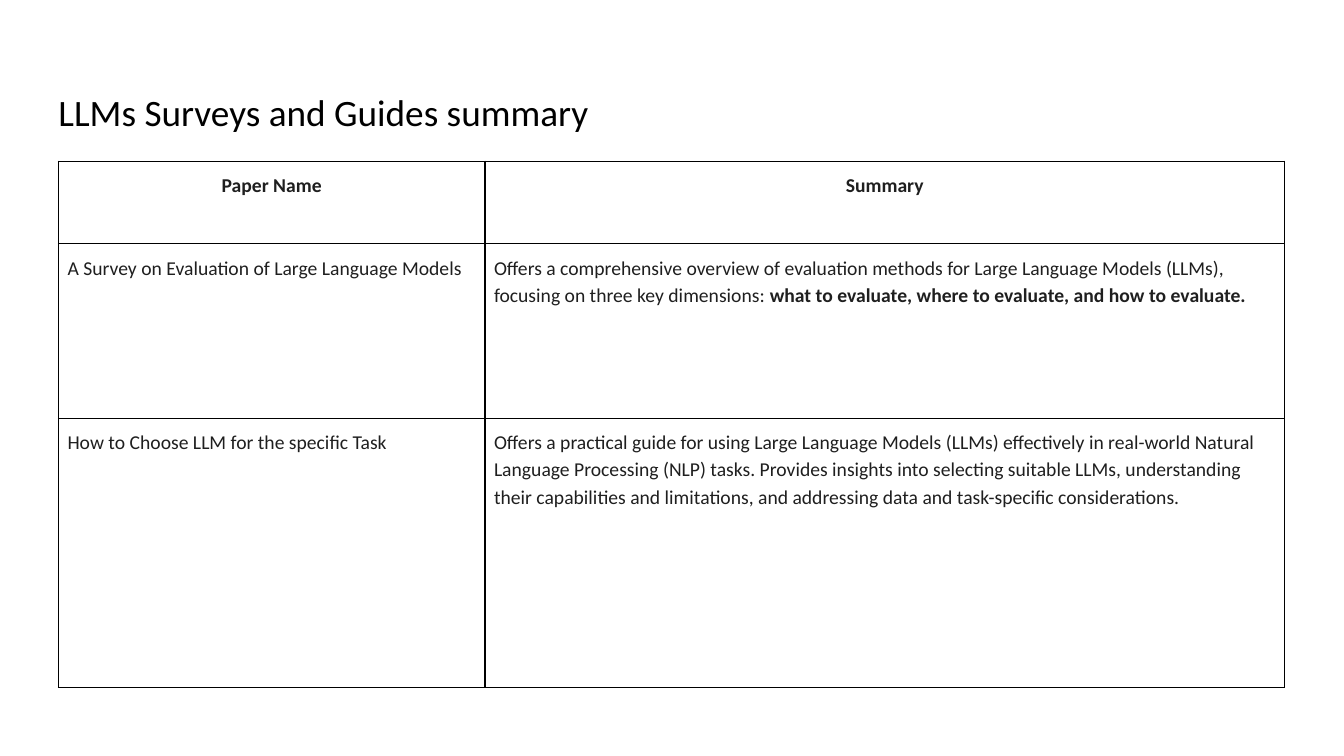
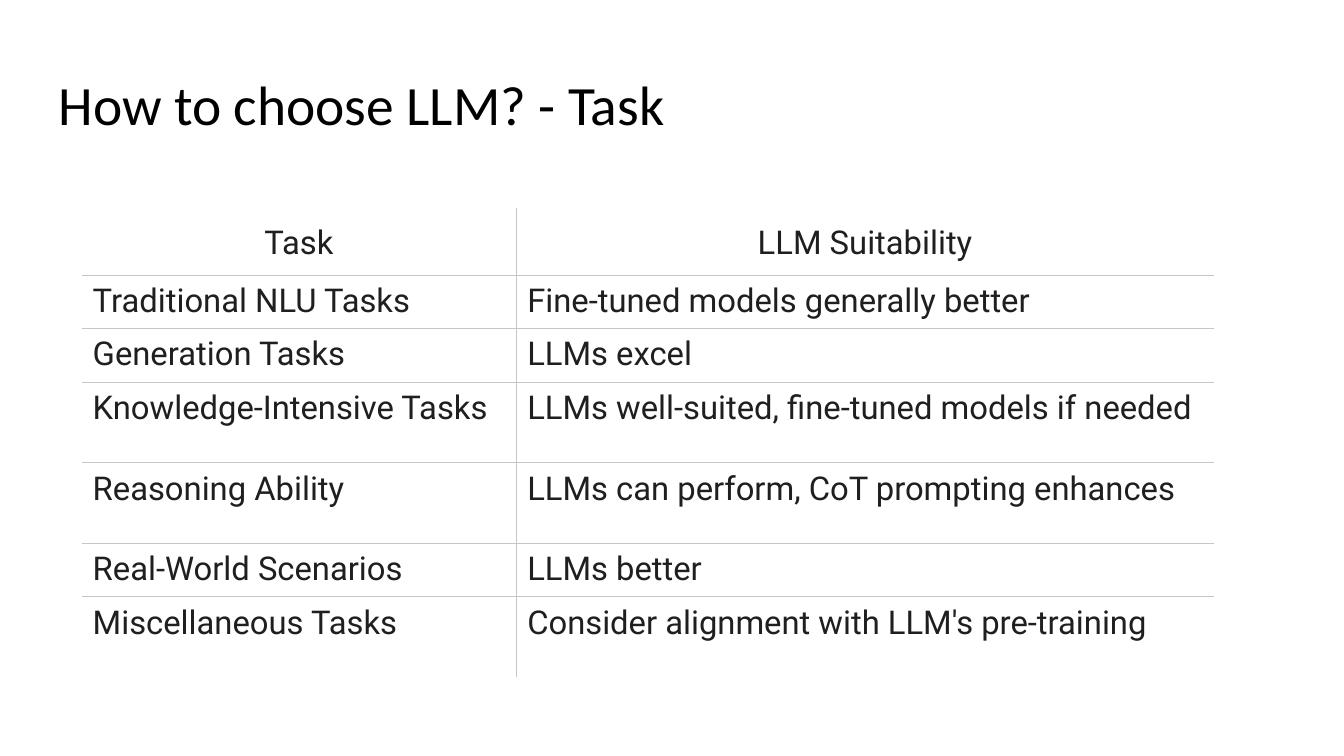
from pptx import Presentation
from pptx.dml.color import RGBColor
from pptx.enum.text import MSO_ANCHOR, PP_ALIGN
from pptx.oxml import parse_xml
from pptx.oxml.ns import nsdecls
from pptx.util import Pt

SCALE = 9144  # EMU in one px, 100 px to the inch
COLORS = {"title": "000000", "text": "1F1F1F", "grid": "000000", "rule": "C4C7C5"}


def px(length):
    return length * SCALE


class Deck:
    """Holds the shared style and the current slide."""

    title_font = "Calibri"
    title_box = (45, 65, 1242, 84)
    title_inset = 13

    def __init__(self):
        self.presentation = Presentation()
        self.presentation.slide_width = px(1333)
        self.presentation.slide_height = px(750)
        self.slide = None

    def add_slide(self):
        self.slide = self.presentation.slides.add_slide(self.presentation.slide_layouts[6])

    def style(self, paragraph, font, size, color, spacing, bold=False):
        paragraph.line_spacing = spacing
        paragraph.font.name = font
        paragraph.font.size = Pt(size)
        paragraph.font.bold = bold
        paragraph.font.color.rgb = RGBColor.from_string(COLORS[color])

    def title(self, text, size, spacing):
        shape = self.slide.shapes.add_textbox(*map(px, self.title_box))
        frame = shape.text_frame
        frame.word_wrap = True
        frame.vertical_anchor = MSO_ANCHOR.MIDDLE
        frame.margin_left = frame.margin_right = px(self.title_inset)
        frame.margin_top = frame.margin_bottom = px(self.title_inset)
        frame.text = text
        self.style(frame.paragraphs[0], self.title_font, size, "title", spacing)

    def borders(self, cell, sides, color, width):
        """Draw the named sides (L, R, T, B) and leave the others empty."""
        properties = cell._tc.get_or_add_tcPr()
        for side in "LRTB":
            fill = "<a:noFill/>"
            if side in sides:
                fill = f'<a:solidFill><a:srgbClr val="{COLORS[color]}"/></a:solidFill>'
            properties.append(parse_xml(
                f'<a:ln{side} {nsdecls("a")} w="{Pt(width)}">{fill}</a:ln{side}>'))

    def cell(self, cell, content, font, size, spacing, inset, header, header_bold):
        """Content is a string, or a pair of plain text and bold text."""
        cell.margin_left = cell.margin_right = px(inset[0])
        cell.margin_top = cell.margin_bottom = px(inset[1])
        plain, strong = (content, "") if isinstance(content, str) else content
        paragraph = cell.text_frame.paragraphs[0]
        paragraph.alignment = PP_ALIGN.CENTER if header else PP_ALIGN.LEFT
        paragraph.add_run().text = plain
        if strong:
            run = paragraph.add_run()
            run.text = strong
            run.font.bold = True
        self.style(paragraph, font, size, "text", spacing, header and header_bold)

    def table(self, left, top, widths, heights, rows, font, size, insets,
              spacings, border, header_bold=False, frame=True):
        """Insets and spacings are pairs: header row, body rows."""
        table = self.slide.shapes.add_table(
            len(heights), len(widths), px(left), px(top),
            px(sum(widths)), px(sum(heights))).table
        table.first_row = table.horz_banding = False
        for column, width in zip(table.columns, widths):
            column.width = px(width)
        for row, height in zip(table.rows, heights):
            row.height = px(height)
        last_row, last_column = len(heights) - 1, len(widths) - 1
        for r, contents in enumerate(rows):
            for c, content in enumerate(contents):
                cell = table.cell(r, c)
                part = 0 if r == 0 else 1
                self.cell(cell, content, font, size, spacings[part],
                          insets[part], r == 0, header_bold)
                inner = {"L": c > 0, "R": c < last_column, "T": r > 0, "B": r < last_row}
                sides = [side for side in inner if frame or inner[side]]
                self.borders(cell, sides, *border)
                cell.fill.background()


def main():
    deck = Deck()

    # Surveys and guides
    deck.add_slide()
    deck.title("LLMs Surveys and Guides summary", 26.6, 1.15)
    deck.table(
        58, 160, [423, 793], [82, 173, 267],
        [
            ("Paper Name", "Summary"),
            ("A Survey on Evaluation of Large Language Models",
             ("Offers a comprehensive overview of evaluation methods for Large Language "
              "Models (LLMs), focusing on three key dimensions: ",
              "what to evaluate, where to evaluate, and how to evaluate.")),
            ("How to Choose LLM for the specific Task",
             "Offers a practical guide for using Large Language Models (LLMs) effectively "
             "in real-world Natural Language Processing (NLP) tasks. Provides insights into "
             "selecting suitable LLMs, understanding their capabilities and limitations, "
             "and addressing data and task-specific considerations."),
        ],
        "Calibri", 14, insets=[(9, 9), (9, 9)], spacings=[1.15, 1.15],
        border=("grid", 1), header_bold=True)

    # Choice by task
    deck.add_slide()
    deck.title("How to choose LLM? - Task", 39.6, 0.9)
    deck.table(
        81, 206, [431, 692], [67, 53, 53, 80, 80, 53, 80],
        [
            ("Task", "LLM Suitability"),
            ("Traditional NLU Tasks", "Fine-tuned models generally better"),
            ("Generation Tasks", "LLMs excel"),
            ("Knowledge-Intensive Tasks", "LLMs well-suited, fine-tuned models if needed"),
            ("Reasoning Ability", "LLMs can perform, CoT prompting enhances"),
            ("Real-World Scenarios", "LLMs better"),
            ("Miscellaneous Tasks", "Consider alignment with LLM's pre-training"),
        ],
        "Roboto", 23.4, insets=[(11, 11), (11, 7)], spacings=[1.15, 1.0],
        border=("rule", 0.6), frame=False)

    deck.presentation.save("out.pptx")


if __name__ == "__main__":
    main()
